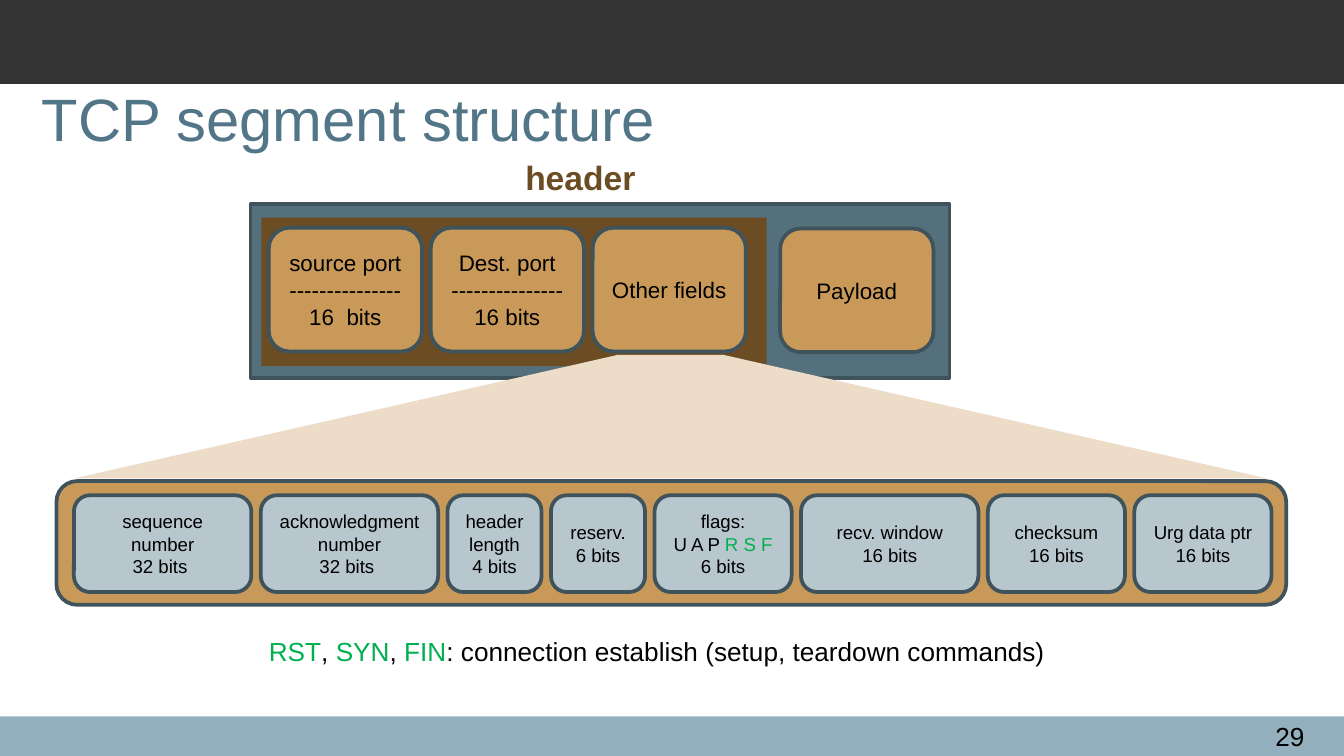
from pptx import Presentation
from pptx.dml.color import RGBColor
from pptx.enum.shapes import MSO_SHAPE
from pptx.enum.text import MSO_ANCHOR, MSO_AUTO_SIZE, PP_ALIGN
from pptx.util import Pt

RECT, ROUND = MSO_SHAPE.RECTANGLE, MSO_SHAPE.ROUNDED_RECTANGLE
TRAPEZOID = MSO_SHAPE.TRAPEZOID
LEFT, CENTER, RIGHT = PP_ALIGN.LEFT, PP_ALIGN.CENTER, PP_ALIGN.RIGHT
TOP, MIDDLE = MSO_ANCHOR.TOP, MSO_ANCHOR.MIDDLE

PX = 4572  # EMU in one px, at 200 px to the inch
W, H = 2000, 1125
FONT = "Arial"
BLACK, GREEN, BROWN, TAN = "000000", "00B050", "6C4D23", "C99959"
EDGE, PALE = "3F535C", "B8C7CE"

DASHES = "-" * 15
PORTS = [["source port", DASHES, "16  bits"],
         ["Dest. port", DASHES, "16 bits"],
         ["Other fields"]]
# Width and lines of each field; a line is a string or a list of (text, color)
FIELDS = [
    (264, ["sequence number", "32 bits "]),
    (264, ["acknowledgment number", "32 bits "]),
    (140, ["header length", "4 bits"]),
    (140, ["reserv.", "6 bits"]),
    (204, ["flags:", [("U A P ", BLACK), ("R S F", GREEN)], "6 bits"]),
    (264, ["recv. window", "16 bits"]),
    (204, ["checksum", "16 bits"]),
    (204, ["Urg data ptr", "16 bits"]),
]
CAPTION = [("RST", GREEN), (", ", BLACK), ("SYN", GREEN), (", ", BLACK),
           ("FIN", GREEN),
           (": connection establish (setup, teardown commands)", BLACK)]


def rgb(value):
    return RGBColor.from_string(value)


def emu(*lengths):
    return [n * PX for n in lengths]


def write(sp, lines, size=12, color=BLACK, bold=False, align=LEFT,
          anchor=TOP, inset=20):
    tf = sp.text_frame
    tf.word_wrap = True
    tf.auto_size = MSO_AUTO_SIZE.NONE
    tf.vertical_anchor = anchor
    tf.margin_left = tf.margin_right = inset * PX
    for i, line in enumerate(lines):
        p = tf.add_paragraph() if i else tf.paragraphs[0]
        p.alignment = align
        for text, run_color in [(line, color)] if isinstance(line, str) else line:
            r = p.add_run()
            r.text = text
            r.font.name, r.font.size, r.font.bold = FONT, Pt(size), bold
            r.font.color.rgb = rgb(run_color)


def label(s, box, lines, **fmt):
    write(s.shapes.add_textbox(*emu(*box)), lines, **fmt)


def block(s, kind, box, fill, line=None):
    sp = s.shapes.add_shape(kind, *emu(*box))
    sp.shadow.inherit = False
    sp.fill.solid()
    sp.fill.fore_color.rgb = rgb(fill)
    if line:
        sp.line.color.rgb = rgb(line)
        sp.line.width = Pt(2)
    else:
        sp.line.fill.background()
    return sp


def field(s, box, lines, fill, size):
    sp = block(s, ROUND, box, fill, EDGE)
    write(sp, lines, size=size, align=CENTER, anchor=MIDDLE, inset=16)


def frame(s, title, number):
    """Bars at the top and bottom, title and slide number."""
    block(s, RECT, (0, 1066, W, H - 1066), "94B0BE")
    block(s, RECT, (0, 0, W, 125), "333333")
    sp = s.shapes.title
    sp.left, sp.top, sp.width, sp.height = emu(42, 125, 1918, 100)
    write(sp, [title], size=32, color="527688", anchor=MIDDLE)
    label(s, (1781, 1062, 180, 32), [number], size=14, align=RIGHT)


def segment(s, x, y, w, h):
    """Header with its port fields, and the payload beside it."""
    block(s, RECT, (x, y, w, h), "55707D", EDGE)
    block(s, RECT, (x + 16, y + 20, 752, 221), BROWN)
    for i, lines in enumerate(PORTS):
        field(s, (x + 27 + i * 241, y + 35, 228, 184), lines, TAN, 12)
    field(s, (x + 788, y + 36, 228, 184), ["Payload"], TAN, 12)
    label(s, (x + 389, y - 80, 238, 80), ["header"], size=18, color=BROWN,
          bold=True)


def other_fields(s, x, y, w, h):
    """Bar of the remaining header fields, spread with equal gaps."""
    block(s, ROUND, (x, y, w, h), TAN, EDGE)
    left, gap = x + 26, 14
    for width, lines in FIELDS:
        field(s, (left, y + 21, width, 144), lines, PALE, 10)
        left += width + gap


def zoom(s, x, y, w, h):
    """Wedge that opens from "Other fields" to the bar below."""
    sp = block(s, TRAPEZOID, (x, y, w, h), "EDDDC8")
    sp.adjustments[0] = 4.4


def main():
    prs = Presentation()
    prs.slide_width, prs.slide_height = emu(W, H)
    s = prs.slides.add_slide(prs.slide_layouts[5])
    frame(s, "TCP segment structure", "29")
    segment(s, 373, 304, 1040, 258)
    other_fields(s, 84, 716, 1830, 184)
    zoom(s, 110, 528, 1776, 184)
    label(s, (293, 936, 1282, 68), [CAPTION], size=14, align=RIGHT)
    prs.save("out.pptx")


if __name__ == "__main__":
    main()
